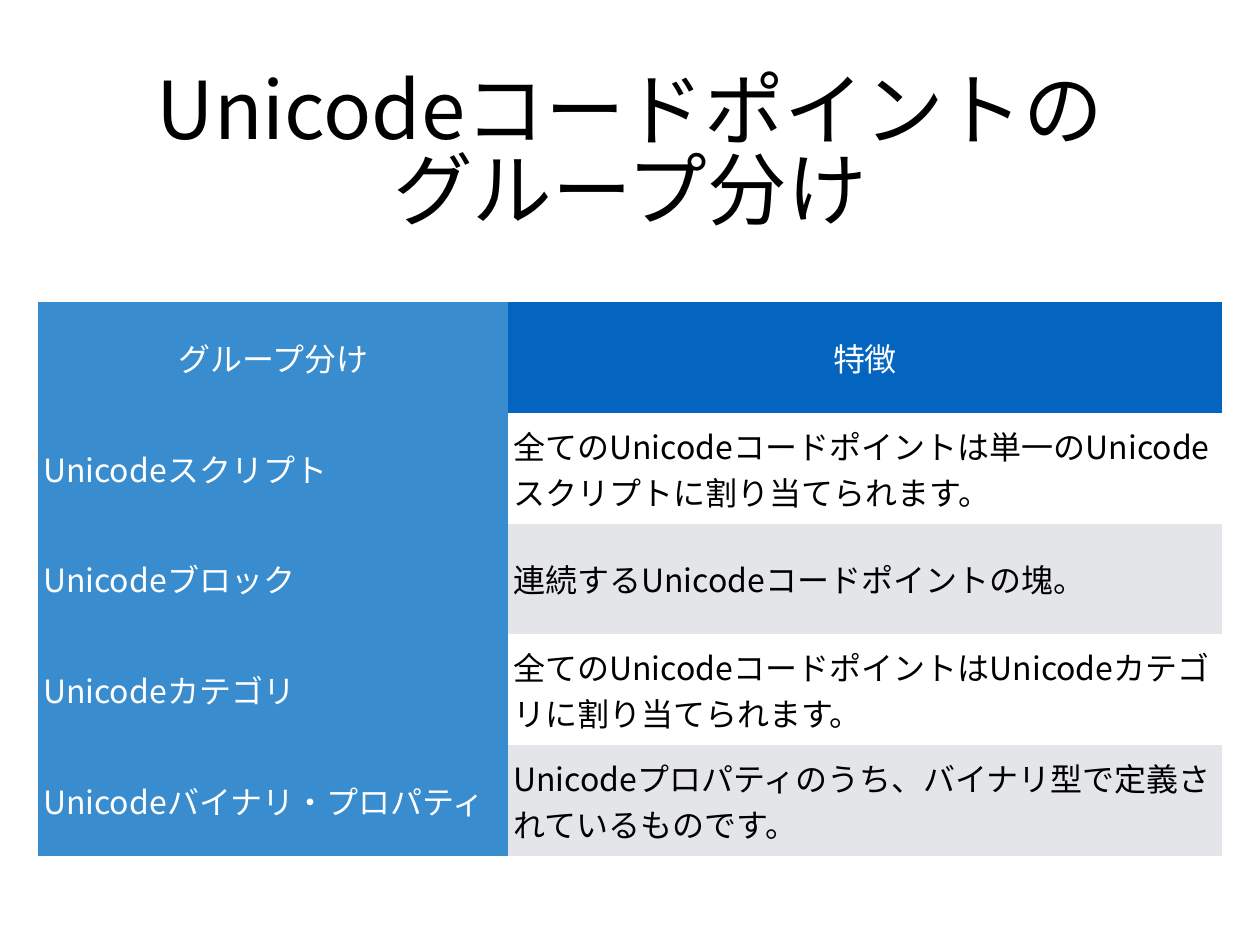
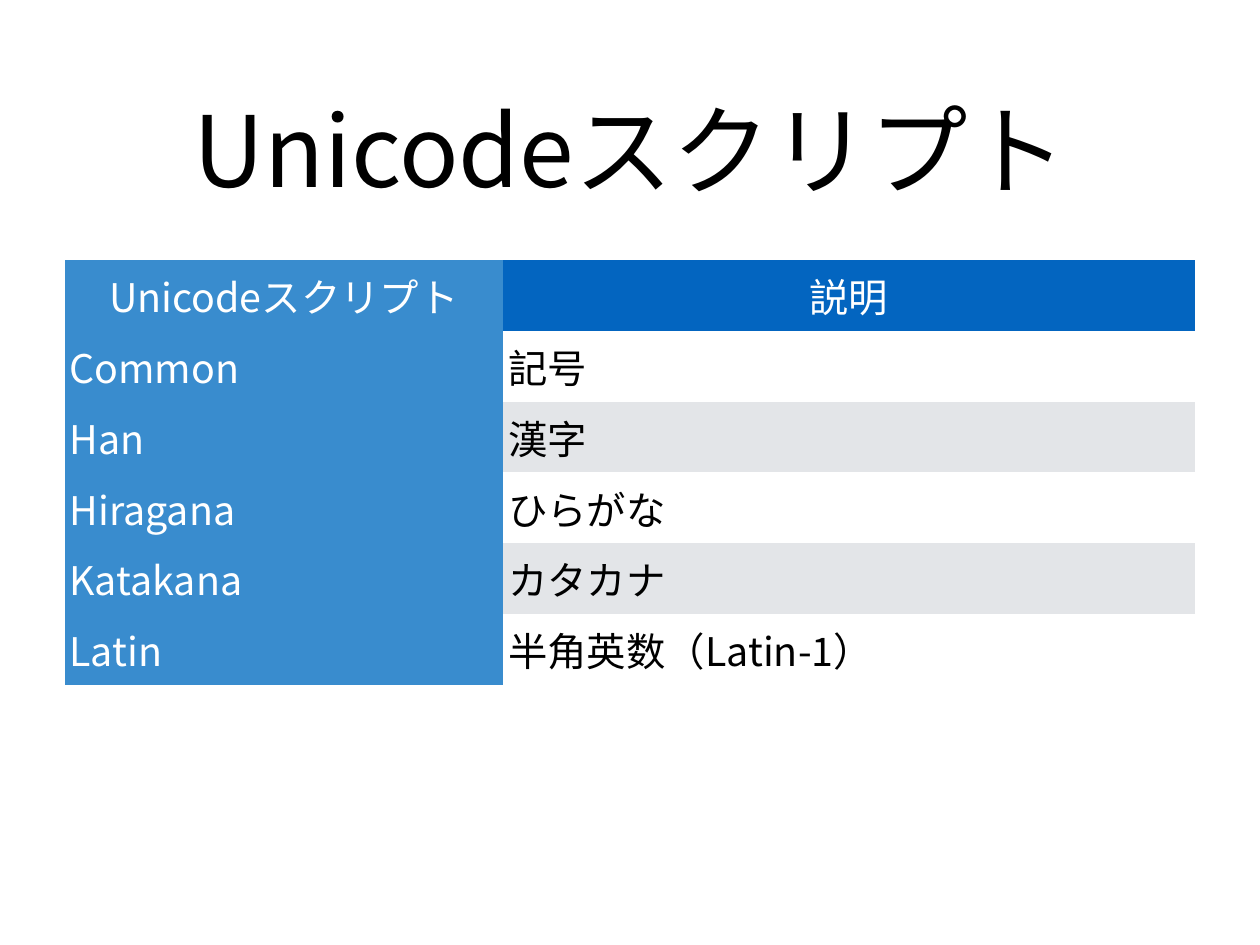
from pptx import Presentation
from pptx.dml.color import RGBColor
from pptx.enum import text as tx
from pptx.oxml import ns
from pptx.util import Pt
from lxml import etree

BLACK = RGBColor(0x00, 0x00, 0x00)
WHITE = RGBColor(0xFF, 0xFF, 0xFF)
NAVY = RGBColor(0x03, 0x65, 0xC0)
BLUE = RGBColor(0x39, 0x8C, 0xCE)
GREY = RGBColor(0xE3, 0xE5, 0xE8)
FACE = "Noto Sans CJK JP"
PLAIN = "{2D5ABB26-0587-4C30-8999-92F81FD0307C}"
PAD = Pt(4)
SIDES = ("left", "top", "right", "bottom")


class Deck:
    """Holds the shared style and the slide being built."""

    def __init__(self):
        self.prs = Presentation()
        self.prs.slide_width, self.prs.slide_height = Pt(1024), Pt(768)
        self.slide = None

    def add(self, par, words, size, color, align):
        par.alignment = align
        run = par.add_run()
        run.text = words
        font = run.font
        font.size, font.name, font.color.rgb = Pt(size), FACE, color
        east = etree.SubElement(font._element, ns.qn("a:ea"))
        east.set("typeface", FACE)

    def title(self, lines, size):
        self.slide = self.prs.slides.add_slide(self.prs.slide_layouts[5])
        box = self.slide.shapes.title
        box.left, box.top, box.width, box.height = Pt(75), Pt(35), Pt(874), Pt(170)
        frame = box.text_frame
        frame.word_wrap = True
        frame.auto_size = tx.MSO_AUTO_SIZE.NONE
        frame.vertical_anchor = tx.MSO_ANCHOR.MIDDLE
        for side in SIDES:
            setattr(frame, f"margin_{side}", PAD)
        for i, line in enumerate(lines):
            par = frame.add_paragraph() if i else frame.paragraphs[0]
            if i:
                par.line_spacing = 0.83
            self.add(par, line, size, BLACK, tx.PP_ALIGN.CENTER)

    def table(self, left, top, widths, high, size, rows):
        frame = self.slide.shapes.add_table(
            len(rows), len(widths), Pt(left), Pt(top),
            Pt(sum(widths)), Pt(high * len(rows)))
        grid = frame.table
        grid.first_row = grid.horz_banding = False
        grid._tbl.tblPr.find(ns.qn("a:tableStyleId")).text = PLAIN
        for col, wide in zip(grid.columns, widths):
            col.width = Pt(wide)
        for r, words in enumerate(rows):
            grid.rows[r].height = Pt(high)
            for c, word in enumerate(words):
                self.cell(grid.cell(r, c), r, c, word, size)

    def cell(self, cell, r, c, word, size):
        head = r == 0
        if c == 0:
            fill = BLUE
        elif head:
            fill = NAVY
        else:
            fill = WHITE if r % 2 else GREY
        cell.fill.solid()
        cell.fill.fore_color.rgb = fill
        cell.vertical_anchor = tx.MSO_ANCHOR.MIDDLE
        for side in SIDES:
            setattr(cell, f"margin_{side}", PAD)
        color = WHITE if head or c == 0 else BLACK
        align = tx.PP_ALIGN.CENTER if head else tx.PP_ALIGN.LEFT
        self.add(cell.text_frame.paragraphs[0], word, size, color, align)


def main():
    deck = Deck()
    deck.title(["Unicodeコードポイントの", "グループ分け"], 64.8)
    deck.table(31, 245.5, (382, 580), 90, 26, [
        ("グループ分け", "特徴"),
        ("Unicodeスクリプト",
         "全てのUnicodeコードポイントは単一のUnicodeスクリプトに割り当てられます。"),
        ("Unicodeブロック", "連続するUnicodeコードポイントの塊。"),
        ("Unicodeカテゴリ",
         "全てのUnicodeコードポイントはUnicodeカテゴリに割り当てられます。"),
        ("Unicodeバイナリ・プロパティ",
         "Unicodeプロパティのうち、バイナリ型で定義されているものです。"),
    ])
    deck.title(["Unicodeスクリプト"], 80)
    deck.table(52.5, 211.5, (356.5, 562), 57.5, 32, [
        ("Unicodeスクリプト", "説明"),
        ("Common", "記号"),
        ("Han", "漢字"),
        ("Hiragana", "ひらがな"),
        ("Katakana", "カタカナ"),
        ("Latin", "半角英数（Latin-1）"),
    ])
    deck.prs.save("out.pptx")


if __name__ == "__main__":
    main()
